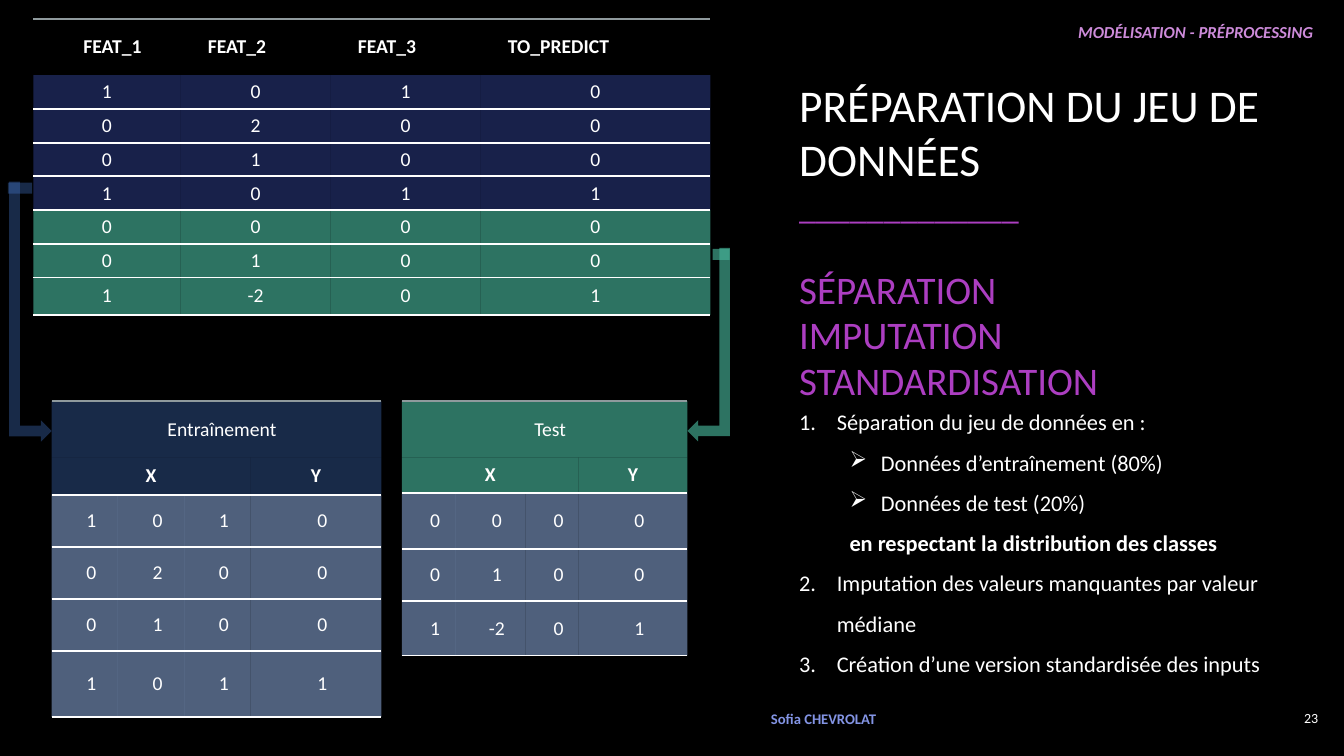
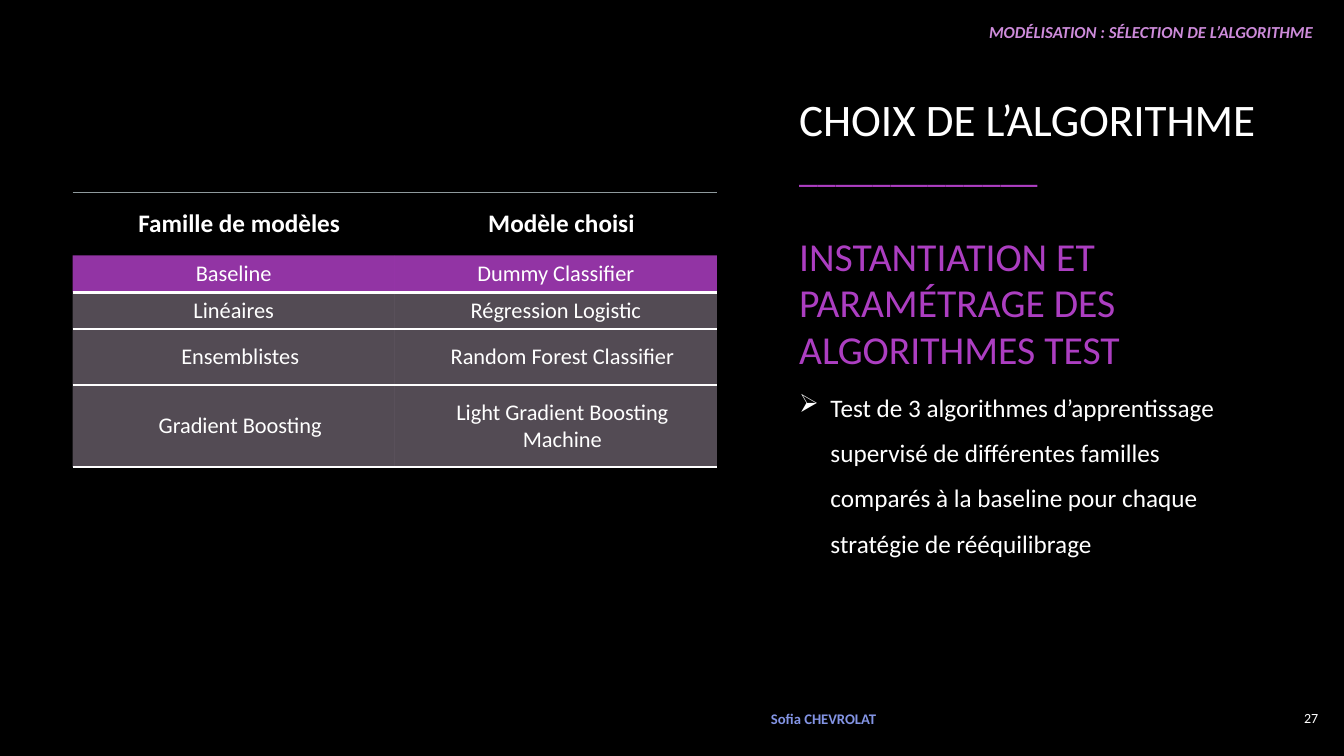
from dataclasses import dataclass
from typing import Optional

from lxml import etree
from pptx import Presentation
from pptx import util as u
from pptx.dml.color import RGBColor
from pptx.enum import shapes, text
from pptx.oxml import ns

LEFT, CENTER, RIGHT = text.PP_ALIGN.LEFT, text.PP_ALIGN.CENTER, text.PP_ALIGN.RIGHT
TOP, MIDDLE = text.MSO_ANCHOR.TOP, text.MSO_ANCHOR.MIDDLE
NO_GRID_STYLE = "{2D5ABB26-0587-4C30-8999-92F81FD0307C}"


# Theme
@dataclass(frozen=True)
class Tint:
    color: str
    opacity: int = 100


@dataclass(frozen=True)
class Theme:
    font: str = "Calibri"
    background: str = "000000"
    white: str = "FFFFFF"
    accent: str = "AC3EC1"
    section: str = "CD8BDA"
    author: str = "8394E4"
    header_line: Tint = Tint("8F9A9D", 60)
    source_rows: Tint = Tint("455FD6", 35)
    training: Tint = Tint("477BD1", 35)
    testing: Tint = Tint("46B298", 65)
    values: Tint = Tint("91B0E3", 55)
    baseline: Tint = Tint("AC3EC1", 85)
    models: Tint = Tint("EED8F3", 35)
    section_size: float = 12
    author_size: float = 10.5
    page_size: float = 10
    table_size: float = 14
    model_size: float = 16
    large_size: float = 18
    list_size: float = 16


THEME = Theme()


# Descriptions of the repeated elements
@dataclass(frozen=True)
class Box:
    left: float
    top: float
    width: float
    height: float

    def lengths(self) -> tuple:
        return tuple(u.Cm(v) for v in (self.left, self.top, self.width, self.height))


@dataclass(frozen=True)
class Padding:
    left: float
    other: float


HEADER_PADDING = Padding(0.69, 0.41)
VALUE_PADDING = Padding(0.69, 0.36)


@dataclass(frozen=True)
class Row:
    height: float
    cells: tuple
    fill: Optional[Tint] = None
    padding: Optional[Padding] = None
    size: float = THEME.table_size
    bold: bool = False
    aligns: tuple = ()
    spans: tuple = ()
    line_above: Optional[Tint] = None
    line_below: float = 1.5


@dataclass(frozen=True)
class Grid:
    left: float
    top: float
    columns: tuple
    rows: list


@dataclass(frozen=True)
class Item:
    text: str
    indent: float
    hanging: float = 0
    bullet: str = ""
    level: int = 0
    bold: bool = False


@dataclass(frozen=True)
class Title:
    heading: str
    subtitles: tuple
    height: float
    heading_size: float
    rule_size: float
    subtitle_size: float


@dataclass(frozen=True)
class BentArrow:
    box: Box
    rotation: int
    flipped: bool
    tail: Box
    tint: Tint


# Drawing helpers
def set_font(font, size: float, color: str, bold: bool = False, italic: bool = False) -> None:
    font.name, font.size = THEME.font, u.Pt(size)
    font.bold, font.italic = bold, italic
    font.color.rgb = RGBColor.from_string(color)


def set_fill(fill, properties, tint: Tint) -> None:
    fill.solid()
    fill.fore_color.rgb = RGBColor.from_string(tint.color)
    color = properties.find(ns.qn("a:solidFill"))[0]
    etree.SubElement(color, ns.qn("a:alpha"), val=str(tint.opacity * 1000))


def add_border(properties, side: str, width: float, tint: Tint) -> None:
    line = etree.SubElement(properties, ns.qn(f"a:{side}"), w=str(u.Pt(width)))
    fill = etree.SubElement(line, ns.qn("a:solidFill"))
    color = etree.SubElement(fill, ns.qn("a:srgbClr"), val=tint.color)
    etree.SubElement(color, ns.qn("a:alpha"), val=str(tint.opacity * 1000))


def add_frame(slide, box: Box, anchor=TOP):
    frame = slide.shapes.add_textbox(*box.lengths()).text_frame
    frame.word_wrap, frame.vertical_anchor = True, anchor
    return frame


def add_label(slide, box: Box, words: str, size: float, color: str, align=LEFT,
              anchor=MIDDLE, bold: bool = False, italic: bool = False) -> None:
    paragraph = add_frame(slide, box, anchor).paragraphs[0]
    paragraph.text, paragraph.alignment = words, align
    set_font(paragraph.font, size, color, bold, italic)


def next_paragraph(frame, index: int):
    return frame.add_paragraph() if index else frame.paragraphs[0]


def add_title(slide, title: Title) -> None:
    frame = add_frame(slide, Box(19.89, 2.29, 13.21, title.height), MIDDLE)
    heading = frame.paragraphs[0]
    run = heading.add_run()
    run.text = title.heading
    set_font(run.font, title.heading_size, THEME.white)
    heading.add_line_break()
    rule = heading.add_run()
    rule.text = "_" * 13
    set_font(rule.font, title.rule_size, THEME.accent)
    for index, words in enumerate(title.subtitles):
        paragraph = frame.add_paragraph()
        paragraph.text, paragraph.line_spacing = words, 0.97
        if index == 0:
            paragraph.space_before = u.Pt(round(title.rule_size * 1.22, 1))
        set_font(paragraph.font, title.subtitle_size, THEME.accent)


def add_list(slide, box: Box, items: list, size: float) -> None:
    frame = add_frame(slide, box)
    for index, item in enumerate(items):
        paragraph = next_paragraph(frame, index)
        paragraph.text, paragraph.level = item.text, item.level
        paragraph.line_spacing = 1.5
        properties = paragraph._p.get_or_add_pPr()
        properties.set("marL", str(u.Cm(item.indent)))
        properties.set("indent", str(-u.Cm(item.hanging)))
        if item.bullet == "1.":
            etree.SubElement(properties, ns.qn("a:buAutoNum"), type="arabicPeriod")
        elif item.bullet:
            etree.SubElement(properties, ns.qn("a:buChar"), char=item.bullet)
        else:
            etree.SubElement(properties, ns.qn("a:buNone"))
        set_font(paragraph.font, size, THEME.white, item.bold)


def style_cell(cell, row: Row, words: str, align) -> None:
    cell.vertical_anchor = MIDDLE
    if row.padding:
        cell.margin_left = u.Cm(row.padding.left)
        cell.margin_right = cell.margin_top = cell.margin_bottom = u.Cm(row.padding.other)
    properties = cell._tc.get_or_add_tcPr()
    if row.line_above:
        add_border(properties, "lnT", 1.5, row.line_above)
    if row.line_below:
        add_border(properties, "lnB", row.line_below, Tint(THEME.white))
    if row.fill:
        set_fill(cell.fill, properties, row.fill)
    else:
        cell.fill.background()
    paragraph = cell.text_frame.paragraphs[0]
    paragraph.text, paragraph.alignment = words, align
    set_font(paragraph.font, row.size, THEME.white, row.bold)


def add_grid(slide, grid: Grid) -> None:
    box = Box(grid.left, grid.top, sum(grid.columns), sum(row.height for row in grid.rows))
    table = slide.shapes.add_table(len(grid.rows), len(grid.columns), *box.lengths()).table
    table.first_row = table.horz_banding = False
    table._tbl.tblPr.find(ns.qn("a:tableStyleId")).text = NO_GRID_STYLE
    for column, width in zip(table.columns, grid.columns):
        column.width = u.Cm(width)
    for index, row in enumerate(grid.rows):
        table.rows[index].height = u.Cm(row.height)
        aligns = row.aligns or (CENTER,) * len(grid.columns)
        for position, words in enumerate(row.cells):
            style_cell(table.cell(index, position), row, words, aligns[position])
        for first, last in row.spans:
            table.cell(index, first).merge(table.cell(index, last))


def add_plain_shape(slide, kind, box: Box, tint: Tint):
    shape = slide.shapes.add_shape(kind, *box.lengths())
    shape.shadow.inherit = False
    set_fill(shape.fill, shape._element.spPr, tint)
    shape.line.fill.background()
    return shape


def add_bent_arrow(slide, arrow: BentArrow) -> None:
    shape = add_plain_shape(slide, shapes.MSO_SHAPE.BENT_UP_ARROW, arrow.box, arrow.tint)
    shape.rotation = arrow.rotation
    if arrow.flipped:
        shape._element.spPr.xfrm.set("flipH", "1")
    add_plain_shape(slide, shapes.MSO_SHAPE.RECTANGLE, arrow.tail, arrow.tint)


def add_slide(presentation, section: str, page: int, title: Title):
    slide = presentation.slides.add_slide(presentation.slide_layouts[6])
    slide.background.fill.solid()
    slide.background.fill.fore_color.rgb = RGBColor.from_string(THEME.background)
    add_label(slide, Box(19.48, 0.43, 13.87, 0.76), section, THEME.section_size,
              THEME.section, RIGHT, TOP, bold=True, italic=True)
    add_label(slide, Box(31.95, 17.58, 1.52, 1.04), str(page), THEME.page_size,
              THEME.white, RIGHT)
    add_label(slide, Box(19.18, 17.58, 4.47, 1.04), "Sofia CHEVROLAT", THEME.author_size,
              THEME.author, bold=True)
    add_title(slide, title)
    return slide


# Slide contents
SAMPLES = ("1 0 1 0", "0 2 0 0", "0 1 0 0", "1 0 1 1", "0 0 0 0", "0 1 0 0", "1 -2 0 1")
TRAINING_COUNT = 4


def subset_grid(left: float, name: str, tint: Tint, columns: tuple, heights: tuple,
                samples: tuple) -> Grid:
    rows = [
        Row(heights[0], (name, "", "", ""), tint, HEADER_PADDING, spans=((0, 3),),
            line_above=THEME.header_line, line_below=0),
        Row(heights[1], ("X", "", "", "Y"), tint, bold=True, spans=((0, 2),)),
    ]
    rows += [Row(height, tuple(sample.split()), THEME.values, VALUE_PADDING)
             for height, sample in zip(heights[2:], samples)]
    return Grid(left, 10.11, columns, rows)


def build_preparation(presentation) -> None:
    title = Title("PRÉPARATION DU JEU DE DONNÉES", ("SÉPARATION", "IMPUTATION STANDARDISATION"),
                  7.54, 32.4, 24.3, 27.9)
    slide = add_slide(presentation, "MODÉLISATION - PRÉPROCESSING", 23, title)
    add_list(slide, Box(19.89, 9.83, 13.28, 7.34), [
        Item("Séparation du jeu de données en :", 0.95, 0.95, "1."),
        Item("Données d’entraînement (80%)", 2.06, 0.79, "➢", 1),
        Item("Données de test (20%)", 2.06, 0.79, "➢", 1),
        Item("en respectant la distribution des classes", 1.27, level=1, bold=True),
        Item("Imputation des valeurs manquantes par valeur médiane", 0.95, 0.95, "1."),
        Item("Création d’une version standardisée des inputs", 0.95, 0.95, "1."),
    ], THEME.list_size)

    # Whole data set, then its two subsets
    header = Row(1.4, ("FEAT_1", "FEAT_2", "FEAT_3", "TO_PREDICT"), None, HEADER_PADDING,
                 bold=True, aligns=(CENTER, LEFT, LEFT, LEFT),
                 line_above=THEME.header_line, line_below=0)
    samples = [Row(0.94 if index == len(SAMPLES) - 1 else 0.85, tuple(sample.split()),
                   THEME.source_rows if index < TRAINING_COUNT else THEME.testing)
               for index, sample in enumerate(SAMPLES)]
    add_grid(slide, Grid(0.84, 0.48, (3.71, 3.78, 3.78, 5.79), [header, *samples]))
    add_grid(slide, subset_grid(1.3, "Entraînement", THEME.training, (1.67, 1.67, 1.67, 3.3),
                                (1.41, 0.94, 1.3, 1.3, 1.3, 1.66), SAMPLES[:TRAINING_COUNT]))
    add_grid(slide, subset_grid(10.13, "Test", THEME.testing, (1.34, 1.77, 1.34, 2.74),
                                (1.4, 0.89, 1.42, 1.3, 1.37), SAMPLES[TRAINING_COUNT:]))

    # Arrows from the data set to the subsets
    for arrow in (
        BentArrow(Box(-2.51, 7.32, 6.55, 1.07), 90, False, Box(0.2, 4.6, 0.61, 0.28),
                  THEME.training),
        BentArrow(Box(15.42, 8.15, 4.88, 1.07), 270, True, Box(17.96, 6.27, 0.43, 0.28),
                  THEME.testing),
    ):
        add_bent_arrow(slide, arrow)


def build_algorithm_choice(presentation) -> None:
    title = Title("CHOIX DE L’ALGORITHME", ("INSTANTIATION ET PARAMÉTRAGE DES ALGORITHMES TEST",),
                  7.14, 32.2, 26.3, 28.3)
    slide = add_slide(presentation, "MODÉLISATION : SÉLECTION DE L’ALGORITHME", 27, title)
    add_list(slide, Box(19.89, 9.37, 12.07, 4.75), [
        Item("Test de 3 algorithmes d’apprentissage supervisé de différentes familles "
             "comparés à la baseline pour chaque stratégie de rééquilibrage", 0.79, 0.79, "➢"),
    ], THEME.large_size)

    # Model families
    size = THEME.model_size
    add_grid(slide, Grid(1.83, 4.85, (8.12, 8.12), [
        Row(1.58, ("Famille de modèles", "Modèle choisi"), None, HEADER_PADDING,
            THEME.large_size, True, line_above=THEME.header_line, line_below=0),
        Row(0.93, ("Baseline", "Dummy Classifier"), THEME.baseline, size=size, line_below=2.25),
        Row(0.93, ("Linéaires", "Régression Logistic"), THEME.models, size=size),
        Row(1.39, ("Ensemblistes", "Random Forest Classifier"), THEME.models,
            VALUE_PADDING, size),
        Row(2.06, ("Gradient Boosting", "Light Gradient Boosting Machine"), THEME.models,
            VALUE_PADDING, size),
    ]))


def main() -> None:
    presentation = Presentation()
    presentation.slide_width, presentation.slide_height = u.Cm(33.87), u.Cm(19.05)
    build_preparation(presentation)
    build_algorithm_choice(presentation)
    presentation.save("out.pptx")


if __name__ == "__main__":
    main()
